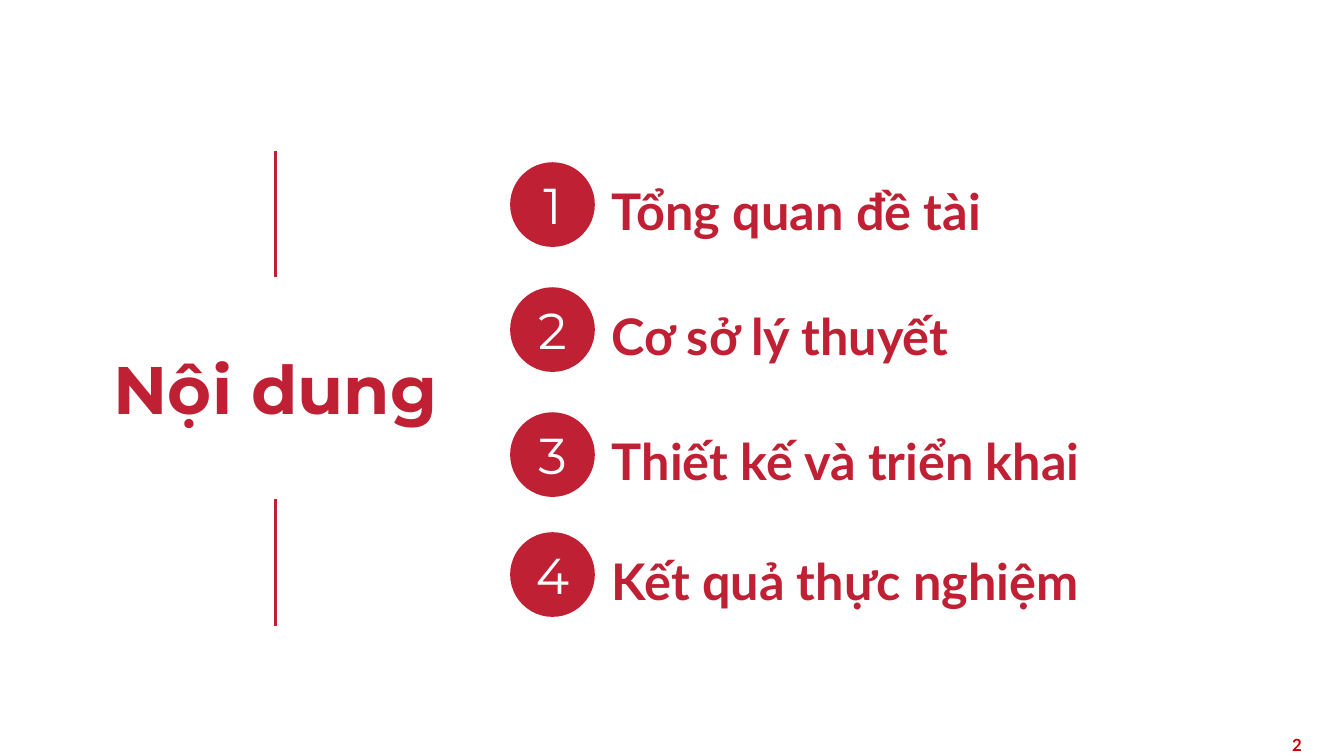
import pptx
import pptx.util
import pptx.dml.color
import pptx.enum.shapes
import pptx.enum.text
import pptx.oxml.ns
from lxml import etree

Inches = pptx.util.Inches
SHAPE = pptx.enum.shapes.MSO_SHAPE
ALIGN = pptx.enum.text.PP_ALIGN
ANCHOR = pptx.enum.text.MSO_ANCHOR

COLORS = {"red": "C02034", "dark": "C00000", "white": "FFFFFF"}

# Top of each numbered row and its text
TOPICS = [
    (1.61, "Tổng quan đề tài", 3.95),
    (2.85, "Cơ sở lý thuyết", 3.63),
    (4.09, "Thiết kế và triển khai", 4.92),
    (5.28, "Kết quả thực nghiệm", 4.9),
]


def color(name):
    return pptx.dml.color.RGBColor.from_string(COLORS[name])


def write(shape, text, size, face, tint, bold=False, align=ALIGN.LEFT,
          anchor=ANCHOR.MIDDLE, wrap=True):
    frame = shape.text_frame
    frame.word_wrap = wrap
    frame.vertical_anchor = anchor
    para = frame.paragraphs[0]
    para.alignment = align
    run = para.add_run()
    run.text = text
    run.font.size = pptx.util.Pt(size)
    run.font.name = face
    run.font.bold = bold
    run.font.color.rgb = color(tint)


def add_label(slide, box, text, size, tint, **style):
    label = slide.shapes.add_textbox(*map(Inches, box))
    write(label, text, size, "Lato", tint, bold=True, **style)
    return label


def add_block(slide, kind, box, fill, text, size, tint, bold=False):
    block = slide.shapes.add_shape(kind, *map(Inches, box))
    block.shadow.inherit = False
    block.fill.solid()
    block.fill.fore_color.rgb = color(fill)
    block.line.fill.background()
    write(block, text, size, "Montserrat", tint, bold, ALIGN.CENTER)
    return block


def add_rule(slide, x, top, bottom):
    rule = slide.shapes.add_connector(
        pptx.enum.shapes.MSO_CONNECTOR.STRAIGHT,
        Inches(x), Inches(top), Inches(x), Inches(bottom))
    rule.line.color.rgb = color("red")
    rule.line.width = pptx.util.Pt(2.25)
    etree.SubElement(rule._element.spPr, pptx.oxml.ns.qn("a:effectLst"))


def add_topic(slide, number, top, text, width):
    disc = add_block(slide, SHAPE.OVAL, (5.06, top, 0.84, 0.84),
                     "red", str(number), 36, "white")
    label = add_label(slide, (5.97, top + 0.13, width, 0.71), text, 36, "red",
                      anchor=ANCHOR.TOP, wrap=False)
    label.text_frame.auto_size = pptx.enum.text.MSO_AUTO_SIZE.SHAPE_TO_FIT_TEXT
    slide.shapes.add_group_shape([disc, label])


def main():
    deck = pptx.Presentation()
    deck.slide_width = Inches(13.33)
    deck.slide_height = Inches(7.5)
    slide = deck.slides.add_slide(deck.slide_layouts[6])

    # Slide number
    add_label(slide, (10.01, 7.19, 3, 0.4), "2", 12, "dark", align=ALIGN.RIGHT)

    # Title set over the vertical rule
    add_rule(slide, 2.73, 1.5, 6.21)
    add_block(slide, SHAPE.RECTANGLE, (0.92, 2.75, 3.63, 2.2),
              "white", "Nội dung", 48, "red", bold=True)

    # Numbered topics
    for number, (top, text, width) in enumerate(TOPICS, 1):
        add_topic(slide, number, top, text, width)

    deck.save("out.pptx")


if __name__ == "__main__":
    main()
